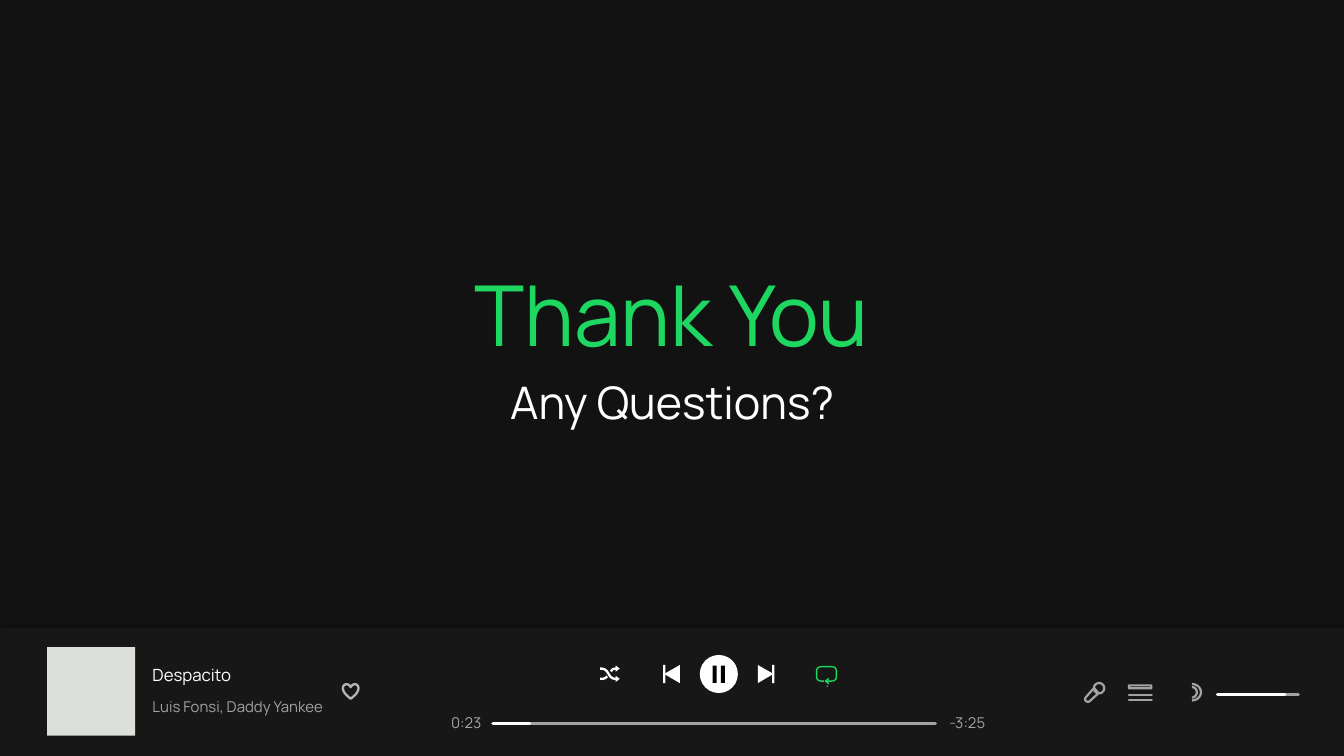
from lxml import etree
from pptx import Presentation
from pptx.dml.color import RGBColor
from pptx.enum.shapes import MSO_CONNECTOR, MSO_SHAPE
from pptx.enum.text import MSO_AUTO_SIZE, PP_ALIGN
from pptx.oxml.ns import qn
from pptx.util import Pt

LEFT, CENTER = PP_ALIGN.LEFT, PP_ALIGN.CENTER
RECTANGLE, OVAL = MSO_SHAPE.RECTANGLE, MSO_SHAPE.OVAL
ROUNDED = MSO_SHAPE.ROUNDED_RECTANGLE
STRAIGHT = MSO_CONNECTOR.STRAIGHT

FONT = "Manrope"
COLORS = {
    "background": "121212", "bar": "171717", "cover": "DDDFDA",
    "green": "1ED760", "white": "FFFFFF", "black": "000000",
    "gray": "A3A3A3", "heart": "B4B5B2",
}
WIDTH, HEIGHT = 720, 405
BAR_TOP = 336.2

# text, (left, top, width, height), size, color, alignment
TEXTS = [
    ("Thank You", (233.3, 138.2, 252.7, 59.8), 45, "green", CENTER),
    ("Any Questions?", (250.6, 198, 218.9, 34.6), 24, "white", CENTER),
    ("Despacito", (76.3, 353.5, 113, 16.6), 9, "white", LEFT),
    ("Luis Fonsi, Daddy Yankee", (76.3, 370.8, 113, 15.1), 8, "gray", LEFT),
    ("0:23", (236.2, 379.4, 28.1, 15.1), 8, "gray", LEFT),
    ("-3:25", (503.3, 379.4, 36.7, 15.1), 8, "gray", LEFT),
]

# left, right, y, color, weight
LINES = [
    (264.2, 501.1, 387.6, "gray", 1.8),     # song progress
    (264.2, 283.7, 387.6, "white", 1.8),
    (652.3, 695.5, 372, "gray", 1.8),       # volume
    (652.3, 688.3, 372, "white", 1.8),
    (604.8, 617, 372.2, "gray", 1.2),       # queue
    (604.8, 617, 375.1, "gray", 1.2),
]

# Each path is a start point, then lines (x, y) or cubic curves (6 numbers).
HEART = [
    (187.9, 368.2), (187.4, 367.2, 186.6, 366.6, 185.6, 366.6),
    (184.5, 366.6, 183.7, 367.6, 183.7, 368.8),
    (183.7, 371.5, 187.9, 374.3, 187.9, 374.3),
    (187.9, 374.3, 192.1, 371.5, 192.1, 368.8),
    (192.1, 367.6, 191.3, 366.6, 190.2, 366.6),
    (189.2, 366.6, 188.4, 367.2, 187.9, 368.2),
]
MICROPHONE_HANDLE = [
    (586.1, 368.6), (581.8, 373.5), (581.1, 374.3, 581.1, 375, 581.7, 375.5),
    (582.4, 376.2, 583.2, 376.2, 583.9, 375.6), (588.5, 371.4),
]
REPEAT_LOOP = [
    (441.5, 364.9), (440, 364.9), (438.6, 364.9, 437.5, 364, 437.5, 362.6),
    (437.5, 359.5), (437.5, 358.2, 438.6, 357.2, 440, 357.2), (445.6, 357.2),
    (447, 357.2, 448.1, 358.2, 448.1, 359.5), (448.1, 362.6),
    (448.1, 364, 447, 364.9, 445.6, 364.9), (442.3, 364.9),
]
REPEAT_ARROW = [(444, 363.5), (442.3, 364.9), (444, 366.4)]
SHUFFLE_STROKES = [
    [(321.5, 358.2), (324.3, 358.2, 324.9, 359.2, 326, 361),
     (327.1, 362.8, 327.7, 363.7, 330.2, 363.7)],
    [(321.5, 363.7), (323.6, 363.7, 324.3, 363.6, 325.3, 362.3)],
    [(327.3, 359.7), (328.2, 358.3, 328.8, 358.2, 330.2, 358.2)],
]
SPEAKER_WAVES = [(4.8, 4.4), (2.6, 2.8)]    # horizontal and vertical radius

# path, color, weight, closed
OUTLINES = [
    (HEART, "heart", 1.25, True),
    (MICROPHONE_HANDLE, "gray", 1.2, True),
    (REPEAT_LOOP, "green", 0.75, False),
    (REPEAT_ARROW, "green", 0.75, False),
] + [(stroke, "white", 1.25, False) for stroke in SHUFFLE_STROKES]


def style(shape, fill=None, line=None, weight=1):
    shape.shadow.inherit = False
    if fill:
        shape.fill.solid()
        shape.fill.fore_color.rgb = RGBColor.from_string(COLORS[fill])
    else:
        shape.fill.background()
    if line:
        shape.line.color.rgb = RGBColor.from_string(COLORS[line])
        shape.line.width = Pt(weight)
    else:
        shape.line.fill.background()
    return shape


def add_preset(slide, kind, box, **look):
    return style(slide.shapes.add_shape(kind, *map(Pt, box)), **look)


def flatten(path, steps=8):
    """Turn lines and cubic curves into a list of points."""
    points = [path[0]]
    for segment in path[1:]:
        if len(segment) == 2:
            points.append(segment)
            continue
        x0, y0 = points[-1]
        x1, y1, x2, y2, x3, y3 = segment
        for step in range(1, steps + 1):
            t = step / steps
            a, b, c, d = (1 - t) ** 3, 3 * t * (1 - t) ** 2, 3 * t * t * (1 - t), t ** 3
            points.append((a * x0 + b * x1 + c * x2 + d * x3,
                           a * y0 + b * y1 + c * y2 + d * y3))
    return points


def add_path(slide, path, closed=True, **look):
    points = [(Pt(x), Pt(y)) for x, y in flatten(path)]
    builder = slide.shapes.build_freeform(*points[0], scale=1.0)
    builder.add_line_segments(points[1:], close=closed)
    return style(builder.convert_to_shape(), **look)


def add_line(slide, left, right, y, color, weight):
    line = slide.shapes.add_connector(STRAIGHT, Pt(left), Pt(y), Pt(right), Pt(y))
    line.line.color.rgb = RGBColor.from_string(COLORS[color])
    line.line.width = Pt(weight)
    properties = line._element.spPr
    properties.find(qn("a:ln")).set("cap", "rnd")
    etree.SubElement(properties, qn("a:effectLst"))


def add_text(slide, text, box, size, color, align=LEFT):
    frame = slide.shapes.add_textbox(*map(Pt, box)).text_frame
    frame.word_wrap = True
    frame.auto_size = MSO_AUTO_SIZE.SHAPE_TO_FIT_TEXT
    frame.margin_left = frame.margin_right = Pt(5.4)
    frame.margin_top = frame.margin_bottom = Pt(2.7)
    paragraph = frame.paragraphs[0]
    paragraph.alignment = align
    run = paragraph.add_run()
    run.text = text
    run.font.name = FONT
    run.font.size = Pt(size)
    run.font.color.rgb = RGBColor.from_string(COLORS[color])


def add_shadow(shape, blur, distance, degrees, opacity):
    effects = shape._element.spPr.find(qn("a:effectLst"))
    shadow = etree.SubElement(
        effects, qn("a:outerShdw"), blurRad=str(Pt(blur)), dist=str(Pt(distance)),
        dir=str(degrees * 60000), algn="bl", rotWithShape="0")
    color = etree.SubElement(shadow, qn("a:srgbClr"), val=COLORS["black"])
    etree.SubElement(color, qn("a:alpha"), val=str(opacity * 1000))


def add_player_buttons(slide):
    middle_x, middle_y = 385.1, 361.1
    add_preset(slide, OVAL, (middle_x - 10.2, middle_y - 10.2, 20.4, 20.4), fill="white")
    for side in (-1, 1):
        pause_x = middle_x + side * 2.2
        add_preset(slide, RECTANGLE, (pause_x - 1.1, 356.6, 2.2, 9.2), fill="black")
        base, tip = middle_x + side * 20.9, middle_x + side * 29.3
        add_path(slide, [(base, 356.3), (base, 366), (tip, middle_y)], fill="white")
        skip_x = middle_x + side * 29.2
        add_preset(slide, RECTANGLE, (skip_x - 0.6, 356.3, 1.2, 9.7), fill="white")


def add_icons(slide):
    for path, color, weight, closed in OUTLINES:
        add_path(slide, path, closed=closed, line=color, weight=weight)
    for y in (358.2, 363.7):    # shuffle arrowheads
        add_path(slide, [(329.8, y - 1.7), (332, y), (329.8, y + 1.7)], fill="white")
    add_preset(slide, OVAL, (442.8, 367.2, 0.8, 0.8), fill="green")
    add_preset(slide, OVAL, (586, 365.9, 5.6, 5.6), line="gray", weight=1.2)
    add_preset(slide, ROUNDED, (604.8, 367.2, 12, 1.6), line="gray", weight=1.2)
    x, y, bend = 638.6, 370.9, 0.55
    for across, down in SPEAKER_WAVES:
        wave = [
            (x, y - down),
            (x + bend * across, y - down, x + across, y - bend * down, x + across, y),
            (x + across, y + bend * down, x + bend * across, y + down, x, y + down),
        ]
        add_path(slide, wave, closed=False, line="gray", weight=1.2)


def main():
    presentation = Presentation()
    presentation.slide_width, presentation.slide_height = Pt(WIDTH), Pt(HEIGHT)
    slide = presentation.slides.add_slide(presentation.slide_layouts[6])
    slide.background.fill.solid()
    slide.background.fill.fore_color.rgb = RGBColor.from_string(COLORS["background"])
    bar = add_preset(slide, RECTANGLE, (0, BAR_TOP, WIDTH, HEIGHT - BAR_TOP), fill="bar")
    add_shadow(bar, blur=10, distance=3, degrees=45, opacity=60)
    add_preset(slide, RECTANGLE, (25.2, 346.7, 47.2, 47.5), fill="cover")
    for text, box, size, color, align in TEXTS:
        add_text(slide, text, box, size=size, color=color, align=align)
    for line in LINES:
        add_line(slide, *line)
    add_player_buttons(slide)
    add_icons(slide)
    presentation.save("out.pptx")


if __name__ == "__main__":
    main()
